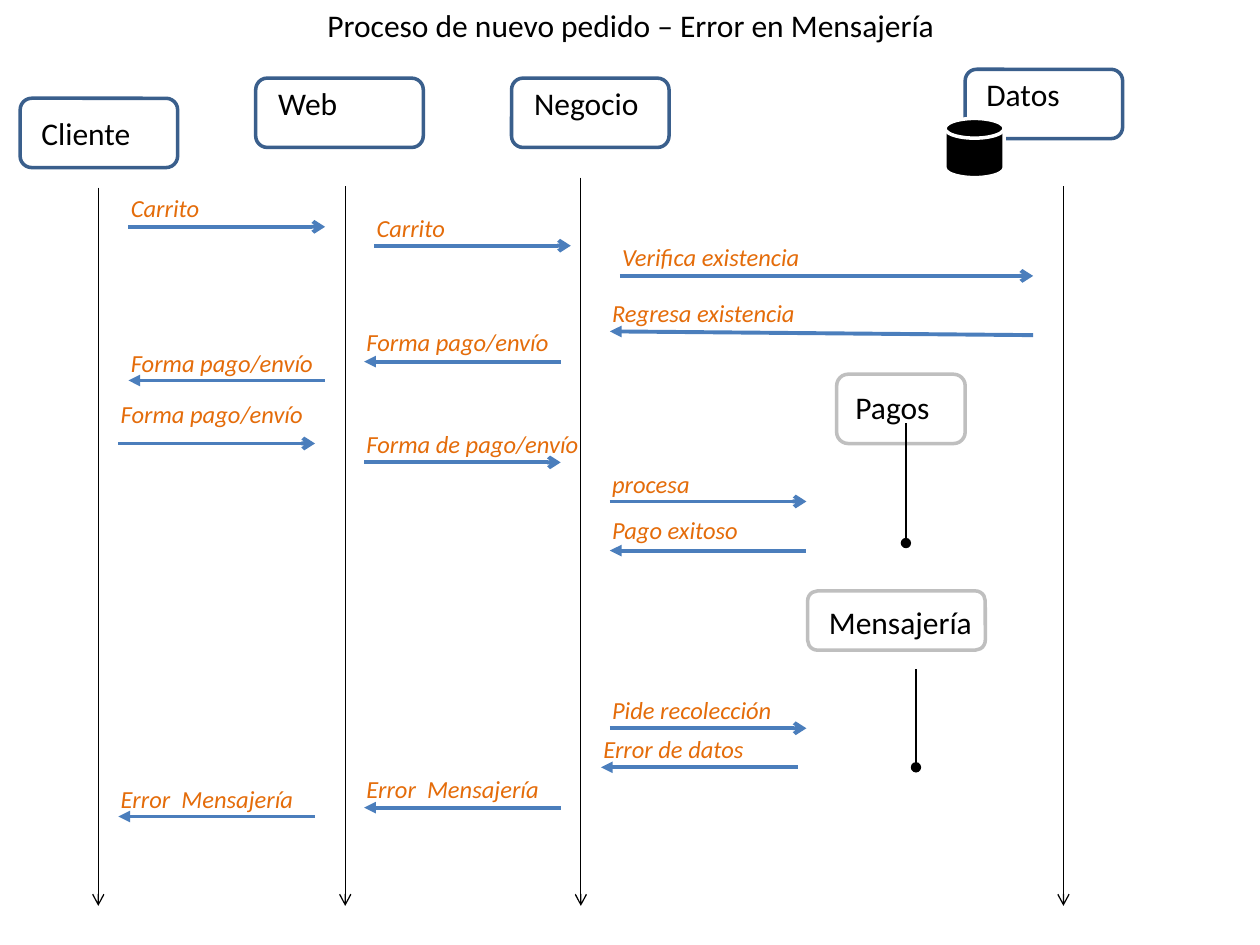
import lxml.etree
import pptx
import pptx.dml.color
import pptx.enum.shapes
import pptx.enum.text
import pptx.oxml.ns
import pptx.util
from pptx.util import Inches

FONT = "Calibri"
BLACK, WHITE = "000000", "FFFFFF"
BLUE, NAVY, GRAY, ORANGE = "4B7EBC", "3A5F8C", "BFBFBF", "E46C0A"
SHAPES = pptx.enum.shapes.MSO_SHAPE
LABEL_INDENT = 0.08
MESSAGE_LENGTH = 1.56


def color(value):
    return pptx.dml.color.RGBColor.from_string(value)


class SequenceDiagram:
    def __init__(self, slide):
        self.slide = slide

    def text(self, content, left, top, width, height=0.4, size=18,
             fill=BLACK, italic=False, wrap=True):
        box = self.slide.shapes.add_textbox(
            Inches(left), Inches(top), Inches(width), Inches(height))
        frame = box.text_frame
        frame.word_wrap = wrap
        frame.auto_size = pptx.enum.text.MSO_AUTO_SIZE.SHAPE_TO_FIT_TEXT
        run = frame.paragraphs[0].add_run()
        run.text = content
        run.font.name = FONT
        run.font.size = pptx.util.Pt(size)
        run.font.italic = italic
        run.font.color.rgb = color(fill)

    def shape(self, kind, left, top, width, height, line, fill=None):
        shape = self.slide.shapes.add_shape(
            kind, Inches(left), Inches(top), Inches(width), Inches(height))
        shape.shadow.inherit = False
        if fill:
            shape.fill.solid()
            shape.fill.fore_color.rgb = color(fill)
        else:
            shape.fill.background()
        shape.line.color.rgb = color(line)
        shape.line.width = pptx.util.Pt(2)

    def line(self, start, end, stroke, width, end_name, end_type):
        connector = self.slide.shapes.add_connector(
            pptx.enum.shapes.MSO_CONNECTOR.STRAIGHT,
            *(Inches(value) for value in (*start, *end)))
        connector.line.color.rgb = color(stroke)
        connector.line.width = pptx.util.Pt(width)
        qualified = pptx.oxml.ns.qn
        properties = connector._element.spPr
        lxml.etree.SubElement(properties.find(qualified("a:ln")),
                              qualified(f"a:{end_name}"), type=end_type)
        lxml.etree.SubElement(properties, qualified("a:effectLst"))

    def participant(self, name, box, text_position, text_width, line):
        self.shape(SHAPES.ROUNDED_RECTANGLE, *box, line)
        self.text(name, *text_position, text_width)

    def lifeline(self, start, end, end_type):
        self.line(start, end, BLACK, 0.75, "tailEnd", end_type)

    def message(self, label, left, y, label_top, reply=False,
                length=MESSAGE_LENGTH, slope=0, label_width=1.8):
        end_name, end_type = (
            ("headEnd", "triangle") if reply else ("tailEnd", "arrow"))
        self.line((left, y), (left + length, y + slope),
                  BLUE, 2.25, end_name, end_type)
        self.text(label, left - LABEL_INDENT, label_top, label_width, 0.34,
                  size=14, fill=ORANGE, italic=True)


def main():
    presentation = pptx.Presentation()
    presentation.slide_width = Inches(10)
    presentation.slide_height = Inches(7.5)
    slide = presentation.slides.add_slide(presentation.slide_layouts[6])
    diagram = SequenceDiagram(slide)

    # Title
    diagram.text("Proceso de nuevo pedido – Error en Mensajería",
                 2.5, 0, 5.08, wrap=False)

    # Participants
    for name, box, text_position, text_width, line in (
        ("Cliente", (0.16, 0.78, 1.25, 0.55), (0.23, 0.86), 1.48, NAVY),
        ("Web", (2.03, 0.62, 1.33, 0.55), (2.11, 0.62), 1.48, NAVY),
        ("Negocio", (4.06, 0.62, 1.25, 0.55), (4.14, 0.62), 1.48, NAVY),
        ("Datos", (7.66, 0.55, 1.25, 0.55), (7.73, 0.55), 1.48, NAVY),
        ("Pagos", (6.64, 2.97, 1.02, 0.55), (6.69, 3.03), 0.88, GRAY),
        ("Mensajería", (6.41, 4.69, 1.41, 0.47), (6.48, 4.74), 1.48, GRAY),
    ):
        diagram.participant(name, box, text_position, text_width, line)
    diagram.shape(SHAPES.FLOWCHART_MAGNETIC_DISK,
                  7.5, 0.94, 0.47, 0.47, WHITE, BLACK)

    # Lifelines
    for x, top in ((0.78, 1.49), (2.74, 1.48), (4.61, 1.41), (8.44, 1.48)):
        diagram.lifeline((x, top), (x, 7.19), "arrow")
    for x, top, bottom in ((7.19, 3.36, 4.31), (7.27, 5.31, 6.09)):
        diagram.lifeline((x, top), (x, bottom), "oval")

    # Requests: label, left, line height, label top
    for request in (
        ("Carrito", 1.02, 1.8, 1.48),
        ("Carrito", 2.97, 1.95, 1.64),
        ("Forma pago/envío", 0.94, 3.52, 3.12),
        ("procesa", 4.84, 3.98, 3.67),
        ("Pide recolección", 4.84, 5.78, 5.47),
    ):
        diagram.message(*request)
    diagram.message("Verifica existencia", 4.92, 2.19, 1.87, length=3.28)
    diagram.message("Forma de pago/envío", 2.89, 3.67, 3.36, label_width=1.95)

    # Replies: label, left, line height, label top
    for reply in (
        ("Forma pago/envío", 2.89, 2.87, 2.55),
        ("Forma pago/envío", 1.02, 3.02, 2.71),
        ("Pago exitoso", 4.84, 4.37, 4.04),
        ("Error de datos", 4.77, 6.09, 5.78),
        ("Error  Mensajería", 2.89, 6.41, 6.09),
        ("Error  Mensajería", 0.94, 6.48, 6.17),
    ):
        diagram.message(*reply, reply=True)
    diagram.message("Regresa existencia", 4.84, 2.63, 2.32, reply=True,
                    length=3.36, slope=0.03)

    presentation.save("out.pptx")


if __name__ == "__main__":
    main()
